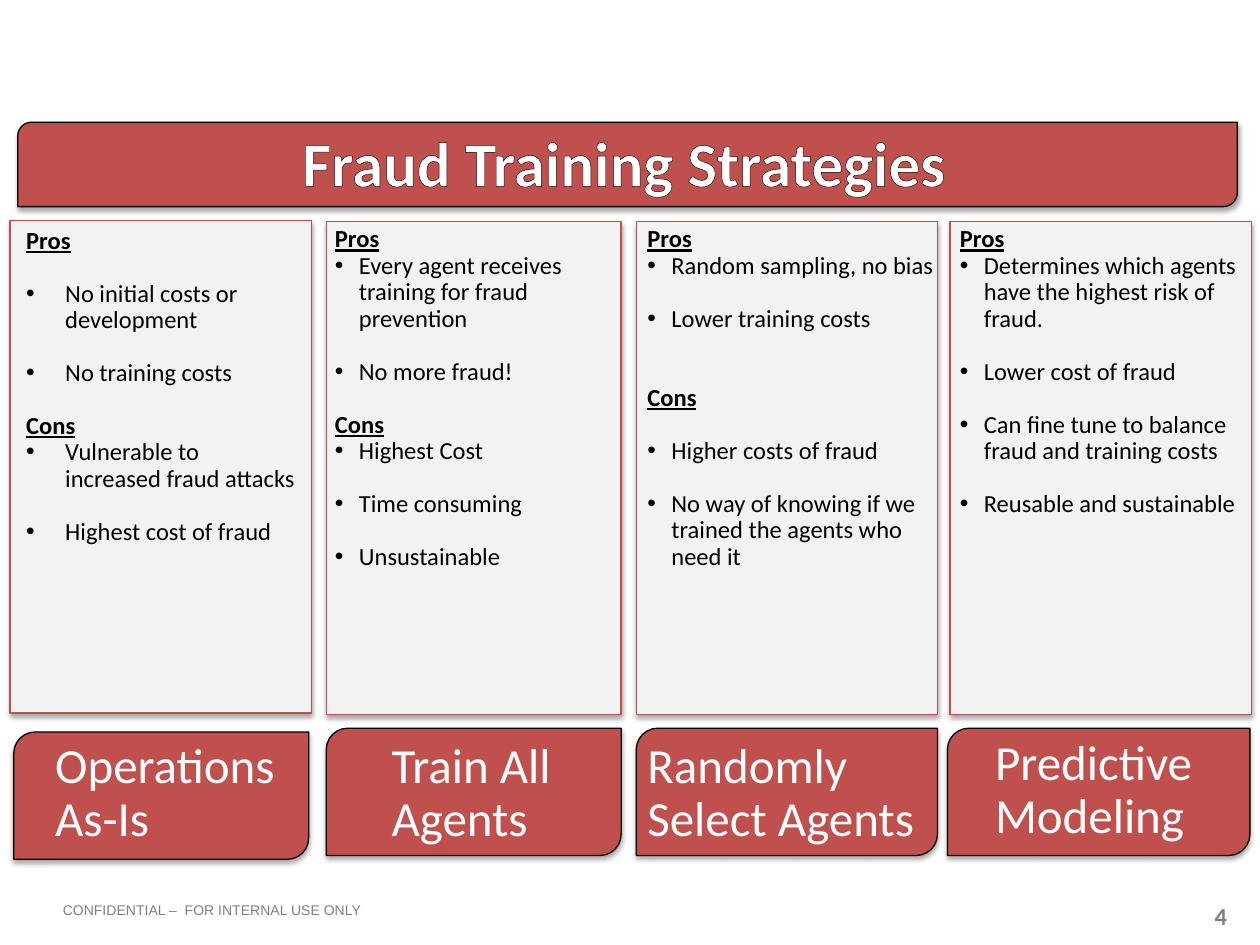
from lxml import etree
from pptx import Presentation, util as u
from pptx.dml.color import RGBColor
from pptx.enum import shapes, text
from pptx.oxml.ns import qn

BLACK = RGBColor(0, 0, 0)
WHITE = RGBColor(0xFF, 0xFF, 0xFF)
GREY = RGBColor(0x80, 0x80, 0x80)
PANEL = RGBColor(0xF2, 0xF2, 0xF2)
RED = RGBColor(0xC0, 0x50, 0x4D)

COLUMNS, ROWS = 100, 75
BLANK_LINE = 15.1
PANEL_HEIGHT, LABEL_HEIGHT = 39.1, 10.1

STRATEGIES = [
    {
        "label": "Operations As-Is",
        "panel": (0.8, 17.5, 23.9), "plate": (1.1, 58.1, 23.4),
        "caption": (3.4, 58.3, 23), "notes": (1.1, 17.6, 23.3, 34.9), "indent": 0.31,
        "points": [("Pros", 0), ("No initial costs or development", 1), ("No training costs", 1),
                   ("Cons", 1), ("Vulnerable to increased fraud attacks", 0),
                   ("Highest cost of fraud", 1)],
    },
    {
        "label": "Train All Agents",
        "panel": (25.9, 17.6, 23.4), "plate": (25.9, 57.8, 23.4),
        "caption": (30.1, 58.3, 23), "notes": (25.6, 17.5, 25.5, 28.6), "indent": 0.19,
        "points": [("Pros", 0), ("Every agent receives training for fraud prevention", 0),
                   ("No more fraud!", 1), ("Cons", 1), ("Highest Cost", 0),
                   ("Time consuming", 1), ("Unsustainable", 1)],
    },
    {
        "label": "Randomly Select Agents",
        "panel": (50.5, 17.6, 23.9), "plate": (50.5, 57.8, 23.9),
        "caption": (50.4, 58.3, 25), "notes": (50.4, 17.5, 24.9, 30.7), "indent": 0.19,
        "points": [("Pros", 0), ("Random sampling, no bias", 0), ("Lower training costs", 1),
                   ("Cons", 2), ("Higher costs of fraud", 1),
                   ("No way of knowing if we trained the agents who need it", 1)],
    },
    {
        "label": "Predictive Modeling",
        "panel": (75.4, 17.6, 23.9), "plate": (75.2, 57.8, 24),
        "caption": (78, 58.1, 21.6), "notes": (75.2, 17.5, 24.4, 28.6), "indent": 0.19,
        "points": [("Pros", 0), ("Determines which agents have the highest risk of fraud.", 0),
                   ("Lower cost of fraud", 1), ("Can fine tune to balance fraud and training costs", 1),
                   ("Reusable and sustainable", 1)],
    },
]


class SlideBuilder:
    font = "Calibri"
    line_spacing = 0.9

    def __init__(self, presentation):
        self.slide = presentation.slides.add_slide(presentation.slide_layouts[6])
        self.column = presentation.slide_width / COLUMNS
        self.row = presentation.slide_height / ROWS

    def place(self, left, top, width, height):
        return (round(left * self.column), round(top * self.row),
                round(width * self.column), round(height * self.row))

    def card(self, kind, area, fill, line):
        shape = self.slide.shapes.add_shape(kind, *self.place(*area))
        shape.fill.solid()
        shape.fill.fore_color.rgb = fill
        shape.line.color.rgb = line
        shape.line.width = u.Pt(0.75)
        shape.shadow.inherit = False
        effects = shape._element.spPr.find(qn("a:effectLst"))
        shadow = etree.SubElement(effects, qn("a:outerShdw"), blurRad=str(u.Pt(3.1)),
                                  dist=str(u.Pt(1.8)), dir="5400000", rotWithShape="0")
        color = etree.SubElement(shadow, qn("a:srgbClr"), val=str(BLACK))
        etree.SubElement(color, qn("a:alpha"), val="35000")

    def panel(self, left, top, width):
        self.card(shapes.MSO_SHAPE.RECTANGLE, (left, top, width, PANEL_HEIGHT), PANEL, RED)

    def plate(self, left, top, width, height=LABEL_HEIGHT):
        self.card(shapes.MSO_SHAPE.ROUND_2_DIAG_RECTANGLE, (left, top, width, height), RED, BLACK)

    def frame(self, area):
        frame = self.slide.shapes.add_textbox(*self.place(*area)).text_frame
        frame.word_wrap = True
        return frame

    def styled_run(self, paragraph, words, size, color, bold=False, font=None):
        run = paragraph.add_run()
        run.text = words
        run.font.name = font or self.font
        run.font.size = u.Pt(size)
        run.font.color.rgb = color
        run.font.bold = bold
        return run

    def caption(self, area, words, size, color=WHITE, **style):
        paragraph = self.frame(area).paragraphs[0]
        paragraph.line_spacing = self.line_spacing
        return paragraph, self.styled_run(paragraph, words, size, color, **style)

    def title(self, area, words):
        run = self.caption(area, words, 36, bold=True)[1]
        outline = etree.Element(qn("a:ln"), w=str(u.Pt(0.8)))
        fill = etree.SubElement(outline, qn("a:solidFill"))
        etree.SubElement(fill, qn("a:srgbClr"), val=str(BLACK))
        run._r.get_or_add_rPr().insert(0, outline)

    def bullet(self, paragraph, indent):
        properties = paragraph._p.get_or_add_pPr()
        properties.set("marL", str(u.Inches(indent)))
        properties.set("indent", str(-u.Inches(indent)))
        etree.SubElement(properties, qn("a:buFont"), typeface="Arial")
        etree.SubElement(properties, qn("a:buChar"), char="•")

    def notes(self, area, points, indent):
        frame = self.frame(area)
        for index, (words, blank_lines) in enumerate(points):
            paragraph = frame.add_paragraph() if index else frame.paragraphs[0]
            heading = words in ("Pros", "Cons")
            if not heading:
                self.bullet(paragraph, indent)
            paragraph.line_spacing = self.line_spacing
            if blank_lines:
                paragraph.space_before = u.Pt(blank_lines * BLANK_LINE)
            run = self.styled_run(paragraph, words, 14, BLACK, bold=heading)
            run.font.underline = heading

    def strategy(self, strategy):
        self.panel(*strategy["panel"])
        self.plate(*strategy["plate"])
        self.caption((*strategy["caption"], 9.5), strategy["label"], 28)
        self.notes(strategy["notes"], strategy["points"], strategy["indent"])

    def footer(self):
        number = self.caption((94.5, 71, 4.8, 3.4), "4", 14, GREY, bold=True)[0]
        number.alignment = text.PP_ALIGN.CENTER
        number.line_spacing = 1.0
        notice = self.caption((4, 71.1, 27, 2.4), "CONFIDENTIAL –  FOR INTERNAL USE ONLY",
                              8, GREY, font="Arial")[0]
        notice.line_spacing = 1.0


def main():
    presentation = Presentation()
    presentation.slide_width = u.Inches(10)
    presentation.slide_height = u.Inches(7.5)
    builder = SlideBuilder(presentation)
    builder.footer()
    builder.plate(1.4, 9.7, 96.8, 6.7)
    builder.title((23, 10, 53.6, 6.5), "Fraud Training Strategies")
    for strategy in STRATEGIES:
        builder.strategy(strategy)
    presentation.save("out.pptx")


if __name__ == "__main__":
    main()
